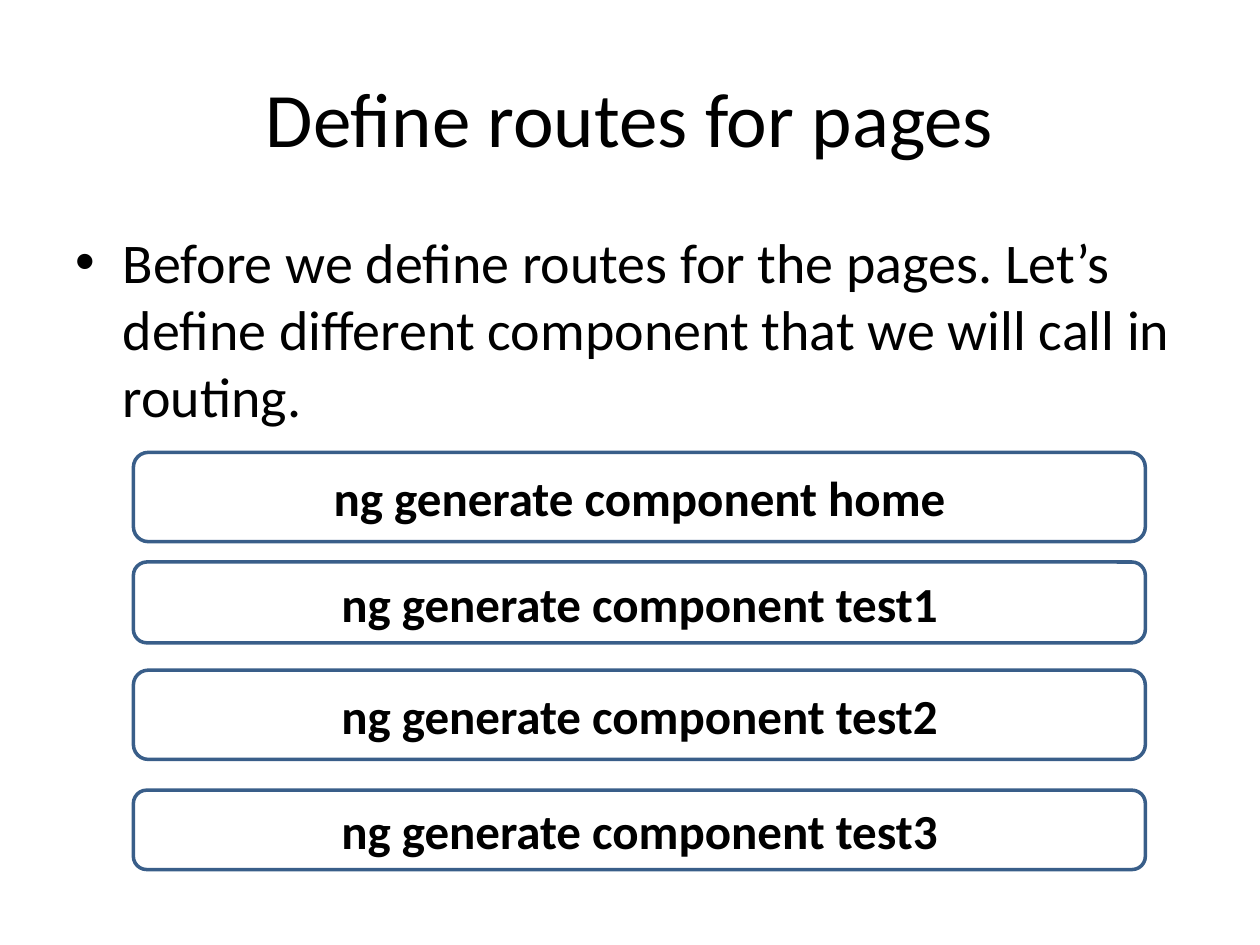
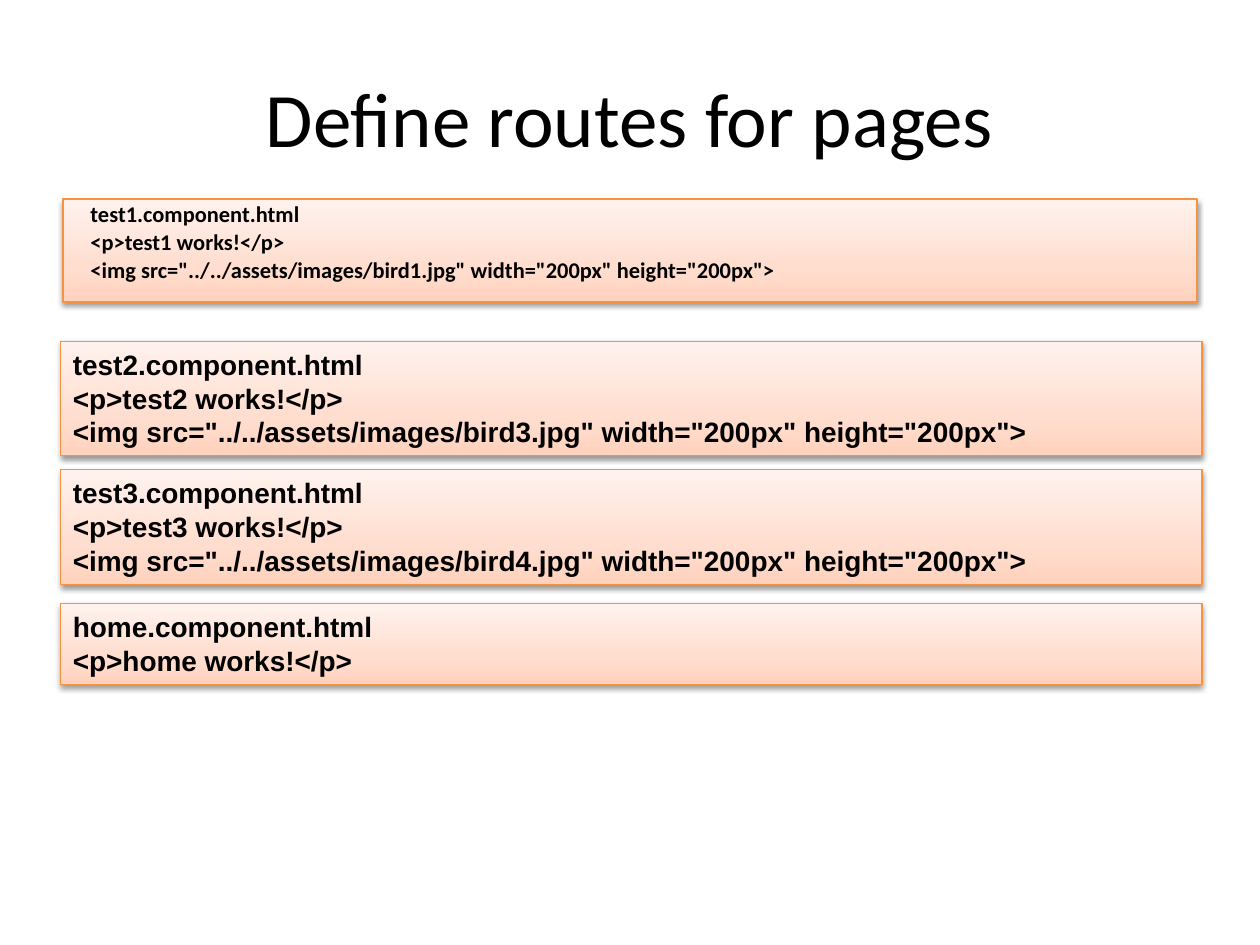
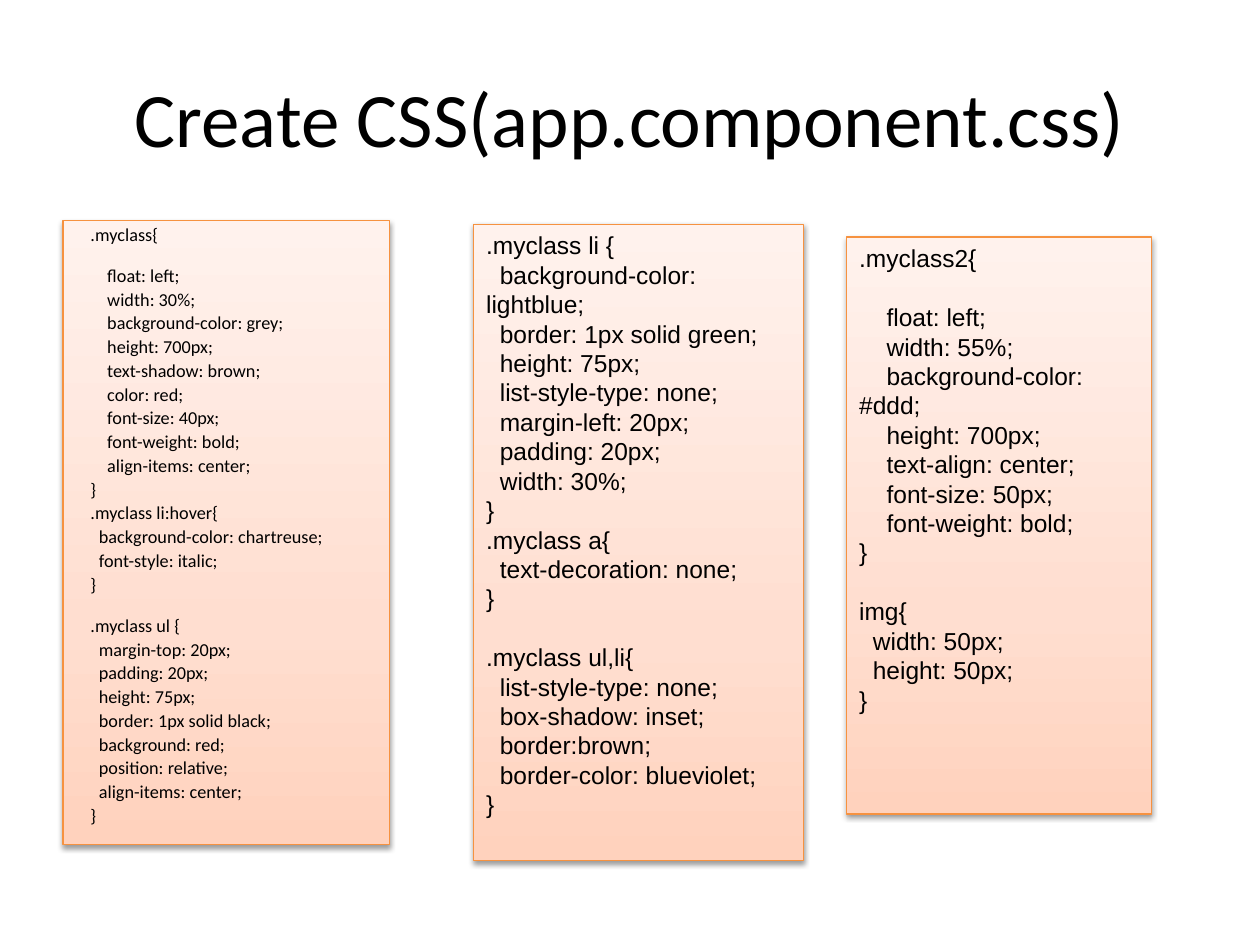
from dataclasses import dataclass
from lxml import etree
from pptx import Presentation
from pptx import util as u
from pptx.dml.color import RGBColor
from pptx.enum import shapes, text
from pptx.oxml.ns import qn


@dataclass(frozen=True)
class Face:
    font: str
    size: float
    bold: bool = False
    lead: float = 1.0
    before: float = 0
    pad: float = 0
    space: float = 0.28  # width of a space, in ems


@dataclass(frozen=True)
class Theme:
    ink: str = "000000"
    edge: str = "395E89"
    rim: str = "F69240"
    glow: tuple = ((0, "FFD2BD"), (35, "FFDED0"), (100, "FFF2ED"))
    title: Face = Face("Calibri", 44)
    body: Face = Face("Calibri", 32)
    pill: Face = Face("Calibri", 28, bold=True)
    page: Face = Face("Arial", 16, bold=True)
    style: Face = Face("Arial", 14)
    lead_page: Face = Face("Calibri", 12.8, True, 0.8, 3.6, 0.3, 0.23)
    lead_style: Face = Face("Calibri", 10.4, False, 0.8, 3.6, 0.3, 0.23)


@dataclass(frozen=True)
class Box:
    left: float
    top: float
    width: float
    height: float

    def cm(self) -> tuple:
        return tuple(u.Cm(n) for n in (self.left, self.top, self.width, self.height))


@dataclass(frozen=True)
class Card:
    box: Box
    face: Face
    code: str


THEME = Theme()

PILLS = (("home", 9.12, 1.8), ("test1", 11.33, 1.63),
         ("test2", 13.51, 1.8), ("test3", 15.93, 1.6))

PAGE = """{0}.component.html
<p>{0} works!</p>"""
IMAGE = PAGE + """
<img src="../../assets/images/{1}.jpg" width="200px" height="200px">"""

PAGES = (
    Card(Box(1.27, 4.01, 22.86, 2.08), THEME.lead_page, IMAGE.format("test1", "bird1")),
    Card(Box(1.22, 6.88, 23.01, 2.31), THEME.page, IMAGE.format("test2", "bird3")),
    Card(Box(1.22, 9.47, 23.01, 2.31), THEME.page, IMAGE.format("test3", "bird4")),
    Card(Box(1.22, 12.17, 23.01, 1.63), THEME.page, PAGE.format("home")),
)

STYLES = (
    Card(Box(1.27, 4.45, 6.58, 12.57), THEME.lead_style, """.myclass{

    float: left;
    width: 30%;
    background-color: grey;
    height: 700px;
    text-shadow: brown;
    color: red;
    font-size: 40px;
    font-weight: bold;
    align-items: center;
}
.myclass li:hover{
  background-color: chartreuse;
  font-style: italic;
}

.myclass ul {
  margin-top: 20px;
  padding: 20px;
  height: 75px;
  border: 1px solid black;
  background: red;
  position: relative;
  align-items: center;
}"""),
    Card(Box(9.55, 4.52, 6.65, 12.83), THEME.style, """.myclass li {
  background-color: lightblue;
  border: 1px solid green;
  height: 75px;
  list-style-type: none;
  margin-left: 20px;
  padding: 20px;
  width: 30%;
}
.myclass a{
  text-decoration: none;
}

.myclass ul,li{
  list-style-type: none;
  box-shadow: inset;
  border:brown;
  border-color: blueviolet;
}"""),
    Card(Box(17.07, 4.78, 6.15, 11.63), THEME.style, """.myclass2{

    float: left;
    width: 55%;
    background-color: #ddd;
    height: 700px;
    text-align: center;
    font-size: 50px;
    font-weight: bold;
}

img{
  width: 50px;
  height: 50px;
}"""),
)


def ink(para, face: Face) -> None:
    for run in para.runs:
        run.font.name = face.font
        run.font.size = u.Pt(face.size)
        run.font.bold = face.bold
        run.font.color.rgb = RGBColor.from_string(THEME.ink)


def place(shape, box: Box) -> None:
    shape.left, shape.top, shape.width, shape.height = box.cm()


def start(deck, title: str):
    """Add a slide with its title; give the slide and its body placeholder."""
    slide = deck.slides.add_slide(deck.slide_layouts[1])
    head, body = slide.placeholders
    place(head, Box(1.27, 0.76, 22.86, 3.18))
    head.text_frame.text = title
    ink(head.text_frame.paragraphs[0], THEME.title)
    body.text_frame.auto_size = text.MSO_AUTO_SIZE.NONE
    return slide, body


def draw_pill(slide, name: str, top: float, height: float) -> None:
    pill = slide.shapes.add_shape(shapes.MSO_SHAPE.ROUNDED_RECTANGLE,
                                  *Box(2.69, top, 20.4, height).cm())
    pill.shadow.inherit = False
    pill.fill.background()
    pill.line.color.rgb = RGBColor.from_string(THEME.edge)
    pill.line.width = u.Pt(2)
    pill.text_frame.text = f"ng generate component {name}"
    para = pill.text_frame.paragraphs[0]
    para.alignment = text.PP_ALIGN.CENTER
    ink(para, THEME.pill)


def tint(parent, color: str):
    return etree.SubElement(parent, qn("a:srgbClr"), val=color)


def paint(shape) -> None:
    """Give a card its gradient, rim and soft shadow."""
    shape.fill.gradient()
    shape.fill.gradient_angle = 90
    props = shape._element.spPr
    stops = props.find(".//" + qn("a:gsLst"))
    stops.clear()
    for pos, color in THEME.glow:
        tint(etree.SubElement(stops, qn("a:gs"), pos=str(pos * 1000)), color)
    shape.line.color.rgb = RGBColor.from_string(THEME.rim)
    shape.line.width = u.Pt(0.75)
    shape.shadow.inherit = False
    cast = etree.SubElement(props.find(qn("a:effectLst")), qn("a:outerShdw"),
                            blurRad=str(u.Pt(3.1)), dist=str(u.Pt(1.6)),
                            dir="5400000", rotWithShape="0")
    etree.SubElement(tint(cast, "000000"), qn("a:alpha"), val="38000")


def write(frame, code: str, face: Face) -> None:
    """Turn leading spaces into indents and empty lines into spacing."""
    frame.word_wrap = True
    frame.vertical_anchor = text.MSO_ANCHOR.TOP
    para, gap = frame.paragraphs[0], 0
    for line in code.splitlines():
        if not line:
            gap = 1.2 * face.size * face.lead
            continue
        if para.runs:
            para = frame.add_paragraph()
        para.text = line.lstrip()
        para.alignment = text.PP_ALIGN.LEFT
        para.line_spacing = face.lead
        para.space_before = u.Pt(face.before + gap)
        depth = len(line) - len(para.text)
        props = para._p.get_or_add_pPr()
        props.set("marL", str(u.Cm(face.pad)))
        props.set("indent", str(u.Pt(depth * face.space * face.size)))
        etree.SubElement(props, qn("a:buNone"))
        ink(para, face)
        gap = 0


def draw_cards(deck, title: str, cards: tuple) -> None:
    """Put the first card in the body placeholder and the rest in boxes."""
    slide, body = start(deck, title)
    place(body, cards[0].box)
    rest = [slide.shapes.add_shape(shapes.MSO_SHAPE.RECTANGLE, *card.box.cm())
            for card in cards[1:]]
    for shape, card in zip([body, *rest], cards):
        paint(shape)
        write(shape.text_frame, card.code, card.face)


def draw_steps(deck, title: str) -> None:
    slide, body = start(deck, title)
    place(body, Box(1.27, 4.45, 22.86, 12.57))
    body.text_frame.text = ("Before we define routes for the pages. Let’s define "
                            "different component that we will call in routing.")
    ink(body.text_frame.paragraphs[0], THEME.body)
    for name, top, height in PILLS:
        draw_pill(slide, name, top, height)


def main() -> None:
    deck = Presentation()
    deck.slide_width, deck.slide_height = u.Cm(25.4), u.Cm(19.05)
    draw_steps(deck, "Define routes for pages")
    draw_cards(deck, "Define routes for pages", PAGES)
    draw_cards(deck, "Create CSS(app.component.css)", STYLES)
    deck.save("out.pptx")


if __name__ == "__main__":
    main()
